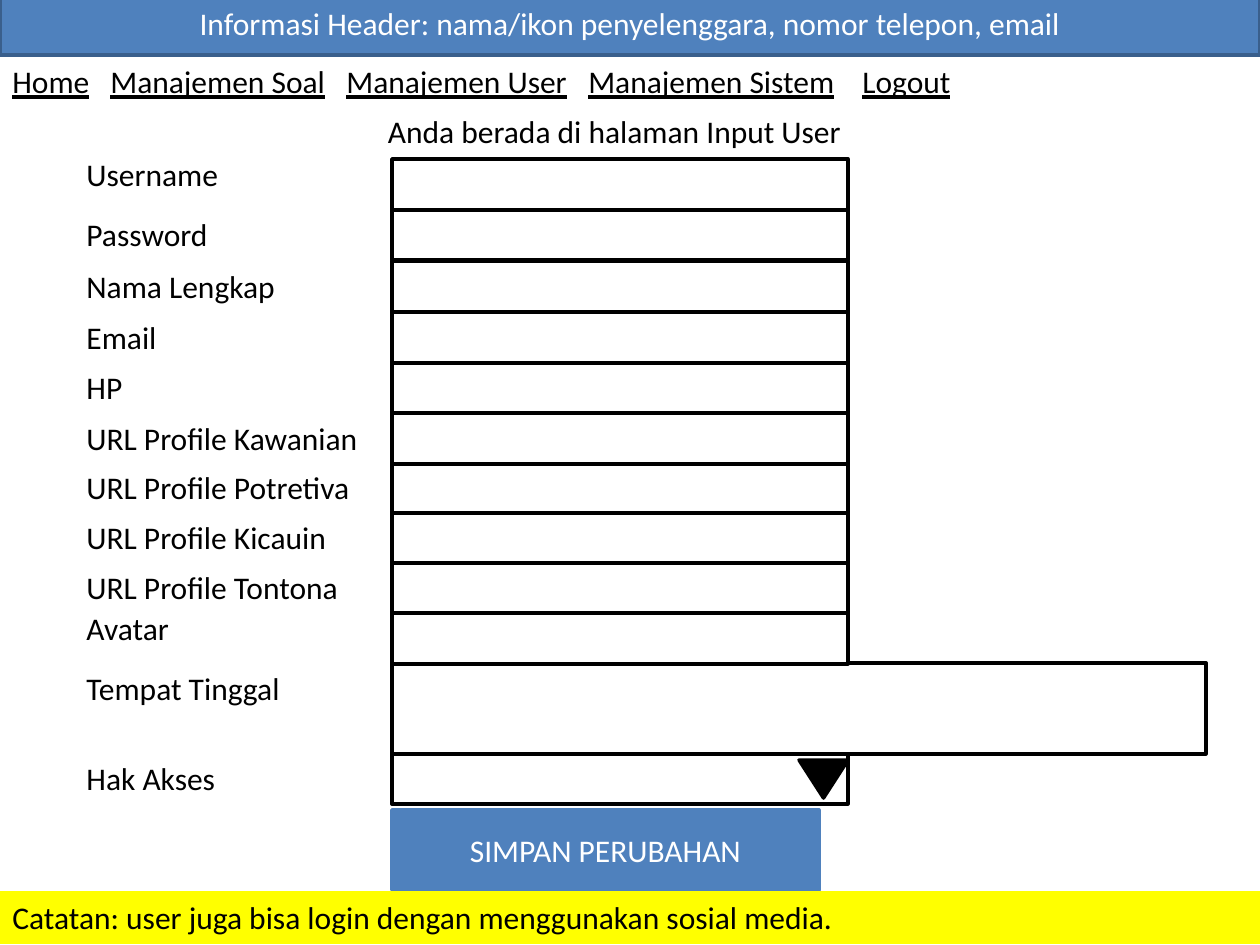
import pptx
import pptx.util
import pptx.dml.color
import pptx.enum.shapes
import pptx.enum.text
import lxml.etree

SHAPE = pptx.enum.shapes.MSO_SHAPE
ALIGN = pptx.enum.text.PP_ALIGN
ANCHOR = pptx.enum.text.MSO_ANCHOR
SCALE = 914400 / 126
COLORS = {"black": "000000", "white": "FFFFFF", "blue": "4F81BD",
          "navy": "3A5F8C", "yellow": "FFFF00"}
LABEL_X, LABEL_W = 74, 348
FIELD_X, FIELD_W, FIELD_H = 392, 456, 51
ROWS = [
    ("Username", 149, 159), ("Password", 209, 209), ("Nama Lengkap", 261, 261),
    ("Email", 312, 312), ("HP", 362, 362), ("URL Profile Kawanian", 413, 413),
    ("URL Profile Potretiva", 462, 462), ("URL Profile Kicauin", 512, 512),
    ("URL Profile Tontona", 562, 562), ("Avatar", 603, 613),
    ("Tempat Tinggal", 663, 663), ("Hak Akses", 753, 753),
]
WIDE_FIELDS = {"Tempat Tinggal": (814, 91)}
MENU = ["Home", "Manajemen Soal", "Manajemen User", "Manajemen Sistem", "Logout"]
MENU_TABS = [98, 334, 576, 850]


def px(n):
    return pptx.util.Emu(round(n * SCALE))


def rgb(name):
    return pptx.dml.color.RGBColor.from_string(COLORS[name])


class Page:
    """Holds the text style and the current slide."""

    def __init__(self, s, font="Calibri", size=18):
        self.s, self.font, self.size = s, font, size

    def run(self, p, text, color="black", underline=False):
        r = p.add_run()
        r.text = text
        r.font.name = self.font
        r.font.size = pptx.util.Pt(self.size)
        r.font.color.rgb = rgb(color)
        r.font.underline = underline

    def title(self, text, x, y, w, h):
        sp = self.s.shapes.title
        sp.left, sp.top, sp.width, sp.height = map(px, (x, y, w, h))
        tf = sp.text_frame
        tf.auto_size = pptx.enum.text.MSO_AUTO_SIZE.NONE
        tf.vertical_anchor = ANCHOR.TOP
        tf.paragraphs[0].alignment = ALIGN.CENTER
        self.run(tf.paragraphs[0], text)

    def text(self, x, y, w, h, text=""):
        tf = self.s.shapes.add_textbox(*map(px, (x, y, w, h))).text_frame
        tf.word_wrap = True
        p = tf.paragraphs[0]
        if text:
            self.run(p, text)
        return p

    def menu(self, items, tabs, x, y, w, h):
        p = self.text(x, y, w, h)
        ns = "{http://schemas.openxmlformats.org/drawingml/2006/main}"
        tab_list = lxml.etree.SubElement(p._p.get_or_add_pPr(), ns + "tabLst")
        for pos in tabs:
            lxml.etree.SubElement(tab_list, ns + "tab", pos=str(px(pos)), algn="l")
        for i, item in enumerate(items):
            if i:
                self.run(p, "\t")
            self.run(p, item, underline=True)

    def shape(self, x, y, w, h, fill, line, width=2, kind=SHAPE.RECTANGLE):
        sp = self.s.shapes.add_shape(kind, *map(px, (x, y, w, h)))
        sp.shadow.inherit = False
        sp.fill.solid()
        sp.fill.fore_color.rgb = rgb(fill)
        sp.line.color.rgb = rgb(line)
        sp.line.width = pptx.util.Pt(width)
        return sp

    def caption(self, sp, text, color="white", align=ALIGN.CENTER, anchor=ANCHOR.MIDDLE):
        tf = sp.text_frame
        tf.word_wrap = True
        tf.vertical_anchor = anchor
        tf.paragraphs[0].alignment = align
        self.run(tf.paragraphs[0], text, color)


def main():
    prs = pptx.Presentation()
    prs.slide_width, prs.slide_height = px(1260), px(945)
    page = Page(prs.slides.add_slide(prs.slide_layouts[5]))

    page.title("Anda berada di halaman Input User", LABEL_X, 106, 1081, FIELD_H)
    for label, label_y, field_y in reversed(ROWS):
        w, h = WIDE_FIELDS.get(label, (FIELD_W, FIELD_H))
        page.text(LABEL_X, label_y, LABEL_W, FIELD_H, label)
        page.shape(FIELD_X, field_y, w, h, "white", "black")
    arrow = page.shape(799, 760, 49, 38, "black", "black", kind=SHAPE.ISOSCELES_TRIANGLE)
    arrow.rotation = 180

    button = page.shape(FIELD_X, 810, 427, 80, "blue", "blue")
    page.caption(button, "SIMPAN PERUBAHAN")
    note = page.shape(0, 892, 1260, FIELD_H, "yellow", "yellow", width=0.75)
    page.caption(note, "Catatan: user juga bisa login dengan menggunakan sosial media.",
                 "black", ALIGN.LEFT, ANCHOR.TOP)
    page.menu(MENU, MENU_TABS, 0, 56, 1260, FIELD_H)
    header = page.shape(0, -10, 1260, 65, "blue", "navy")
    page.caption(header, "Informasi Header: nama/ikon penyelenggara, nomor telepon, email")
    prs.save("out.pptx")


if __name__ == "__main__":
    main()
